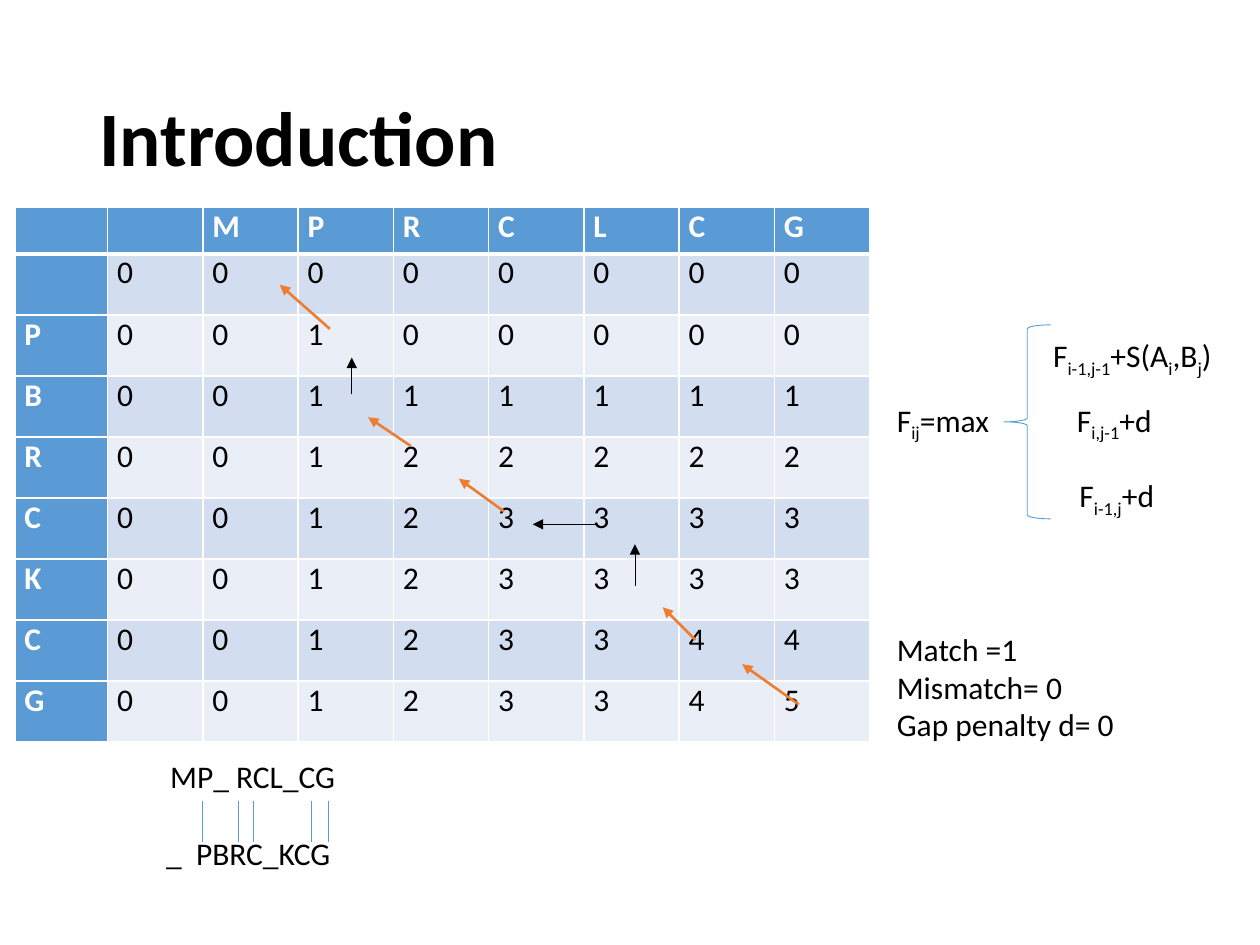
from lxml.etree import SubElement
from pptx import Presentation
from pptx.dml.color import RGBColor
from pptx.enum.shapes import MSO_CONNECTOR as CONN, MSO_SHAPE as SHAPE
from pptx.enum.text import MSO_ANCHOR as ANCHOR, PP_ALIGN as ALIGN
from pptx.oxml.ns import qn
from pptx.util import Cm, Pt

BLACK = RGBColor(0, 0, 0)
WHITE = RGBColor(255, 255, 255)
BLUE = RGBColor(0x5B, 0x9B, 0xD5)
BAND_DARK = RGBColor(0xD2, 0xDE, 0xEF)
BAND_LIGHT = RGBColor(0xEA, 0xEF, 0xF7)
ORANGE = RGBColor(0xED, 0x7D, 0x31)
FONT = "Calibri"

prs = Presentation()
prs.slide_width, prs.slide_height = Cm(25.4), Cm(19.05)
s = prs.slides.add_slide(prs.slide_layouts[5])


def add_text(x, y, w, h, lines):
    tf = s.shapes.add_textbox(Cm(x), Cm(y), Cm(w), Cm(h)).text_frame
    tf.word_wrap = True
    for i, line in enumerate(lines):
        p = tf.paragraphs[0] if i == 0 else tf.add_paragraph()
        for j, part in enumerate(line.split("|")):
            if not part:
                continue
            r = p.add_run()
            r.text = part
            r.font.name, r.font.size = FONT, Pt(18)
            r.font.color.rgb = BLACK
            if j % 2:
                r.font._element.set("baseline", "-25000")


def add_line(x1, y1, x2, y2, color, width, arrow=False):
    c = s.shapes.add_connector(CONN.STRAIGHT, Cm(x1), Cm(y1), Cm(x2), Cm(y2))
    c.line.color.rgb = color
    c.line.width = Pt(width)
    if arrow:
        SubElement(c.line._get_or_add_ln(), qn("a:tailEnd"), type="triangle")
    SubElement(c._element.spPr, qn("a:effectLst"))


title = s.shapes.title
title.left, title.top, title.width, title.height = Cm(1.75), Cm(1.01), Cm(21.9), Cm(3.68)
tf = title.text_frame
tf.text = "Introduction"
tf.vertical_anchor = ANCHOR.MIDDLE
p = tf.paragraphs[0]
p.alignment, p.line_spacing = ALIGN.LEFT, 0.9
f = p.runs[0].font
f.name, f.size, f.bold = FONT, Pt(44), True
f.color.rgb = BLACK

HEADER = ["", "", *"MPRCLCG"]
SCORES = [
    ("", "00000000"),
    ("P", "00100000"),
    ("B", "00111111"),
    ("R", "00122222"),
    ("C", "00123333"),
    ("K", "00123333"),
    ("C", "00123344"),
    ("G", "00123345"),
]
rows = [HEADER] + [[label, *scores] for label, scores in SCORES]
table = s.shapes.add_table(9, 9, Cm(0.3), Cm(4.18), Cm(17.23), Cm(10.78)).table
table.first_col = True
for i in range(9):
    table.columns[i].width = Cm(1.92 if i else 1.87)
    table.rows[i].height = Cm(1.23 if i else 0.94)
for i, row in enumerate(rows):
    for j, value in enumerate(row):
        cell = table.cell(i, j)
        is_head = i == 0 or j == 0
        cell.margin_left = cell.margin_right = Cm(0.19)
        cell.margin_top = cell.margin_bottom = 0
        tc_pr = cell._tc.get_or_add_tcPr()
        for side in "LRTB":
            thick = (i, side) in [(0, "B"), (1, "T")]
            ln = SubElement(tc_pr, qn(f"a:ln{side}"), w=str(Pt(3 if thick else 1)))
            SubElement(SubElement(ln, qn("a:solidFill")), qn("a:srgbClr"), val=str(WHITE))
        cell.fill.solid()
        cell.fill.fore_color.rgb = BLUE if is_head else BAND_DARK if i % 2 else BAND_LIGHT
        cell.text_frame.text = value
        for r in cell.text_frame.paragraphs[0].runs:
            r.font.name, r.font.size, r.font.bold = FONT, Pt(18), is_head
            r.font.color.rgb = WHITE if is_head else BLACK

add_text(17.83, 7.95, 2.44, 1.02, ["F|ij|=max"])
add_text(20.98, 6.65, 4.42, 1.02, ["F|i-1,j-1|+S(A|i|,B|j|)"])
add_text(21.46, 7.95, 4.42, 1.02, ["F|i,j-1|+d"])
add_text(21.51, 9.47, 4.42, 1.02, ["F|i-1,j|+d"])
add_text(17.83, 12.57, 5.31, 2.57, ["Match =1", "Mismatch= 0", "Gap penalty d= 0"])
add_text(3.18, 15.14, 12.32, 1.02, ["MP_ RCL_CG"])
add_text(3.1, 16.69, 12.32, 1.02, ["_  PBRC_KCG"])

brace = s.shapes.add_shape(SHAPE.LEFT_BRACE, Cm(20.24), Cm(6.55), Cm(0.94), Cm(3.91))
brace.shadow.inherit = False
brace.fill.background()
brace.line.color.rgb = BLUE
brace.line.width = Pt(0.5)

for x in (4.09, 4.8, 5.11, 6.27, 6.63):
    add_line(x, 16.15, x, 16.97, BLUE, 0.5)

DIAGONAL_STEPS = [
    (6.65, 6.63, 5.64, 5.74),
    (8.28, 8.99, 7.42, 8.41),
    (10.16, 10.31, 9.25, 9.65),
    (14.02, 12.9, 13.36, 12.24),
    (16.1, 14.2, 14.96, 13.39),
]
GAP_STEPS = [
    (7.09, 7.95, 7.09, 7.21),
    (12.01, 10.57, 10.74, 10.57),
    (12.8, 11.81, 12.8, 10.97),
]
for step in DIAGONAL_STEPS:
    add_line(*step, ORANGE, 1.5, arrow=True)
for step in GAP_STEPS:
    add_line(*step, BLACK, 0.5, arrow=True)

prs.save("out.pptx")
